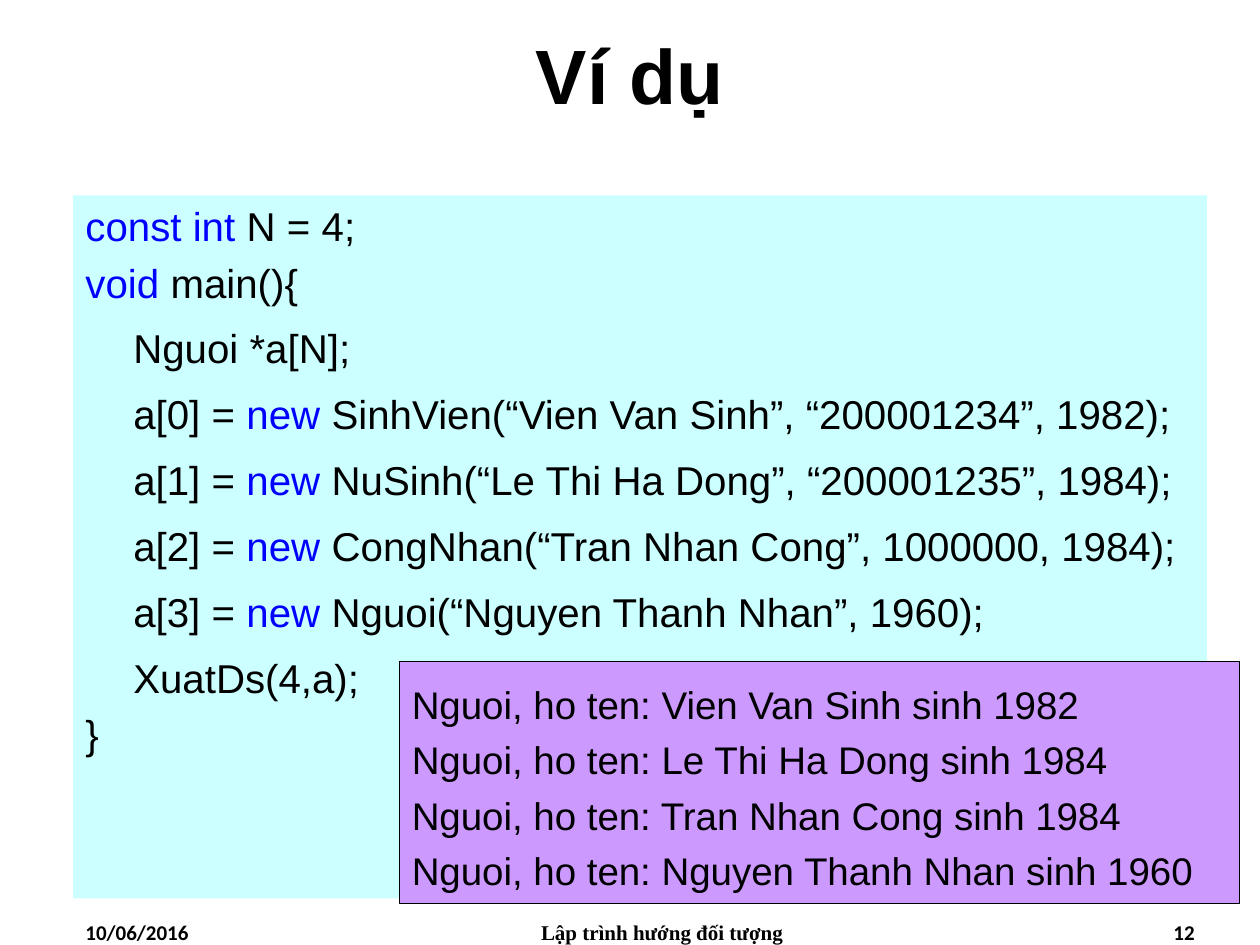
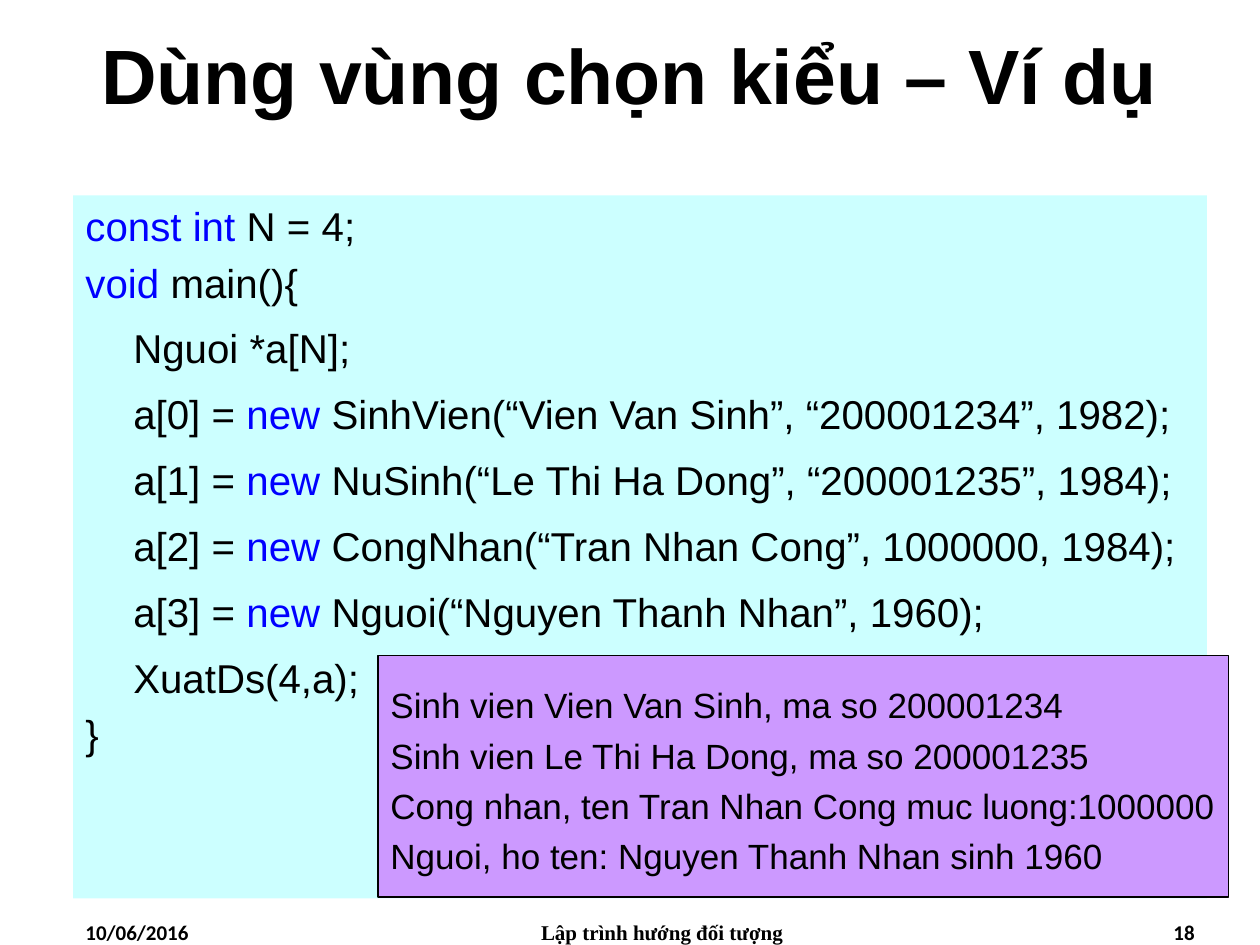
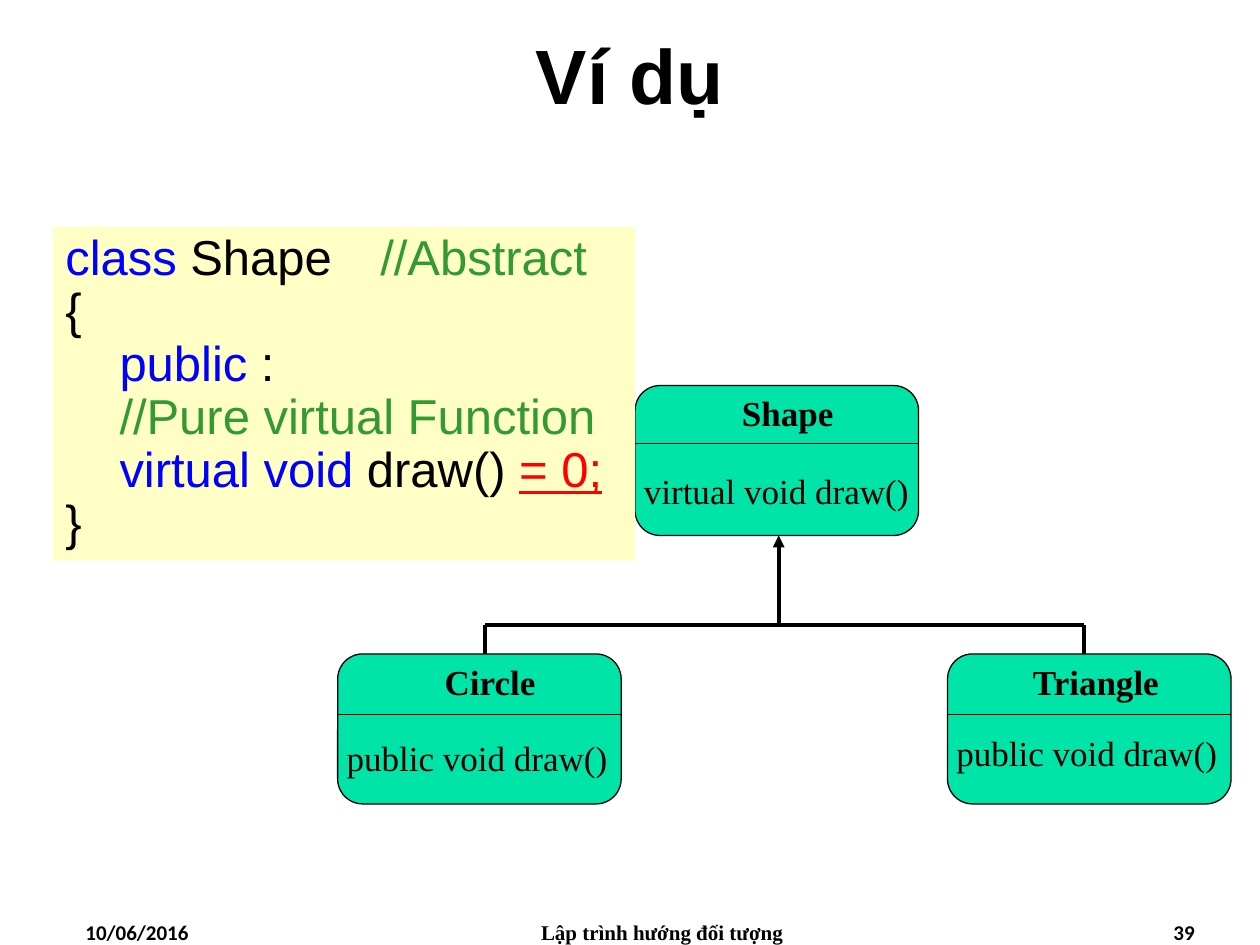
from pptx import Presentation
from pptx.dml.color import RGBColor
from pptx.enum.shapes import MSO_SHAPE as Kind, MSO_CONNECTOR as Link
from pptx.enum.text import PP_ALIGN as Align, MSO_ANCHOR as Anchor
from pptx.oxml.ns import qn
from pptx.util import Inches, Pt
from lxml.etree import SubElement as Sub

BLACK, BLUE, GREEN, RED = "000000", "0000FF", "339933", "FF0000"
CYAN, MAUVE, CREAM, MINT = "CCFFFF", "CC99FF", "FFFFC5", "00E4A8"
ARIAL, TIMES, CALIBRI = "Arial", "Times New Roman", "Calibri"


def paint(part, shade):
    if hasattr(part, "solid"):
        part.solid()
        part = part.fore_color
    part.rgb = RGBColor.from_string(shade)


def write(shape, text, size=20, font=ARIAL, bold=False, align=Align.LEFT,
          anchor=Anchor.TOP, wrap=True, lead=1, before=0, inset=0.1, tab=0):
    frame = shape.text_frame
    frame.word_wrap = wrap
    frame.vertical_anchor = anchor
    frame.margin_left = frame.margin_right = Inches(inset)
    lines = [(0, lead, text)] if isinstance(text, str) else text
    for num, (indent, pitch, runs) in enumerate(lines):
        para = frame.add_paragraph() if num else frame.paragraphs[0]
        para.alignment = align
        para.line_spacing = pitch
        para.space_before = Pt(before)
        props = para._p.get_or_add_pPr()
        props.set("marL", str(Inches(indent)))
        props.set("indent", "0")
        if tab:
            stops = Sub(props, qn("a:tabLst"))
            Sub(stops, qn("a:tab"), pos=str(Inches(tab)), algn="l")
        for words, shade in [(runs, BLACK)] if isinstance(runs, str) else runs:
            run = para.add_run()
            run.text = words
            run.font.size = Pt(size)
            run.font.name = font
            run.font.bold = bold
            run.font.underline = shade == RED
            paint(run.font.color, shade)


deck = Presentation()
deck.slide_width, deck.slide_height = Inches(10), Inches(7.5)

pages = [("Ví dụ", "12"), ("Dùng vùng chọn kiểu – Ví dụ", "18"), ("Ví dụ", "39")]
slides = []
for title, number in pages:
    slide = deck.slides.add_slide(deck.slide_layouts[5])
    slides.append(slide)
    head = slide.shapes.title
    head.left, head.top, head.width, head.height = map(Inches, (0, 0, 10, 1.17))
    write(head, title, size=44, bold=True, align=Align.CENTER, anchor=Anchor.MIDDLE)
    for left, width, text, font, align in [
        (0.58, 2.33, "10/06/2016", CALIBRI, Align.LEFT),
        (3.67, 3.17, "Lập trình hướng đối tượng", TIMES, Align.CENTER),
        (7.25, 2.33, number, CALIBRI, Align.RIGHT),
    ]:
        foot = slide.shapes.add_textbox(*map(Inches, (left, 7.25, width, 0.25)))
        write(foot, text, size=12, font=font, bold=True, align=align)

people = [
    "SinhVien(“Vien Van Sinh”, “200001234”, 1982);",
    "NuSinh(“Le Thi Ha Dong”, “200001235”, 1984);",
    "CongNhan(“Tran Nhan Cong”, 1000000, 1984);",
    "Nguoi(“Nguyen Thanh Nhan”, 1960);",
]
code = [
    (0, 1, [("const int", BLUE), (" N = 4;", BLACK)]),
    (0, 1, [("void", BLUE), (" main(){", BLACK)]),
    (0.38, 1.2, "Nguoi *a[N];"),
    *[(0.38, 1.2, [(f"a[{num}] = ", BLACK), ("new", BLUE), (" " + call, BLACK)])
      for num, call in enumerate(people)],
    (0.38, 1.2, "XuatDs(4,a);"),
    (0, 1, "}"),
]
results = [
    ((3.17, 5.25, 6.67, 1.92), 22, [
        "Nguoi, ho ten: Vien Van Sinh sinh 1982",
        "Nguoi, ho ten: Le Thi Ha Dong sinh 1984",
        "Nguoi, ho ten: Tran Nhan Cong sinh 1984",
        "Nguoi, ho ten: Nguyen Thanh Nhan sinh 1960",
    ]),
    ((3, 5.2, 6.75, 1.92), 20, [
        "Sinh vien Vien Van Sinh, ma so 200001234",
        "Sinh vien Le Thi Ha Dong, ma so 200001235",
        "Cong nhan, ten Tran Nhan Cong muc luong:1000000",
        "Nguoi, ho ten: Nguyen Thanh Nhan sinh 1960",
    ]),
]
for slide, (place, size, lines) in zip(slides, results):
    panel = slide.shapes.add_shape(Kind.RECTANGLE, *map(Inches, (0.58, 1.55, 9, 5.58)))
    panel.shadow.inherit = False
    paint(panel.fill, CYAN)
    panel.line.fill.background()
    write(panel, code, size=23, before=4.6)
    output = slide.shapes.add_shape(Kind.RECTANGLE, *map(Inches, place))
    output.shadow.inherit = False
    paint(output.fill, MAUVE)
    paint(output.line.fill, BLACK)
    output.line.width = Pt(0.75)
    write(output, [(0, 1.2, line) for line in lines], size=size,
          anchor=Anchor.MIDDLE, wrap=False)

shapes = slides[2].shapes
rules = []
for left, top, name, gap, wide, split, member, low in [
    (5.04, 3.06, "Shape", 0.75, 0.98, 0.46, "virtual void draw()", 0.62),
    (2.68, 5.19, "Circle", 0.75, 0.98, 0.48, "public void draw()", 0.61),
    (7.52, 5.19, "Triangle", 0.58, 1.33, 0.48, "public void draw()", 0.57),
]:
    box = shapes.add_shape(Kind.FLOWCHART_ALTERNATE_PROCESS,
                           *map(Inches, (left, top, 2.25, 1.19)))
    box.shadow.inherit = False
    paint(box.fill, MINT)
    paint(box.line.fill, BLACK)
    box.line.width = Pt(0.75)
    label = shapes.add_textbox(*map(Inches, (left + gap, top, wide, 0.44)))
    write(label, name, font=TIMES, bold=True)
    method = shapes.add_textbox(*map(Inches, (left, top + low, 2.25, 0.44)))
    write(method, [(0.07, 1, member)], font=TIMES, inset=0)
    rules.append((left, top + split, left + 2.25, top + split, 0.75))

rules += [
    (3.85, 4.96, 8.6, 4.96, 2.25),
    (3.85, 4.96, 3.85, 5.19, 2.25),
    (8.6, 4.96, 8.6, 5.19, 2.25),
    (6.18, 4.73, 6.18, 4.96, 2.25),
    (6.18, 4.73, 6.18, 4.25, 2.25),
]
for *ends, weight in rules:
    line = shapes.add_connector(Link.STRAIGHT, *map(Inches, ends))
    paint(line.line.fill, BLACK)
    line.line.width = Pt(weight)
    Sub(line._element.spPr, qn("a:effectLst"))
Sub(line.line._get_or_add_ln(), qn("a:tailEnd"), type="triangle")

panel = shapes.add_shape(Kind.RECTANGLE, *map(Inches, (0.42, 1.8, 4.62, 2.65)))
panel.shadow.inherit = False
paint(panel.fill, CREAM)
panel.line.fill.background()
write(panel, [
    (0, 0.9, [("class", BLUE), (" Shape\t", BLACK), ("//Abstract", GREEN)]),
    (0, 0.9, "{"),
    (0.43, 0.9, [("public ", BLUE), (":", BLACK)]),
    (0.43, 0.9, [("//Pure virtual Function", GREEN)]),
    (0.43, 0.9, [("virtual void", BLUE), (" draw() ", BLACK), ("= 0;", RED)]),
    (0, 0.9, "}"),
], size=28, tab=2.55)

deck.save("out.pptx")
